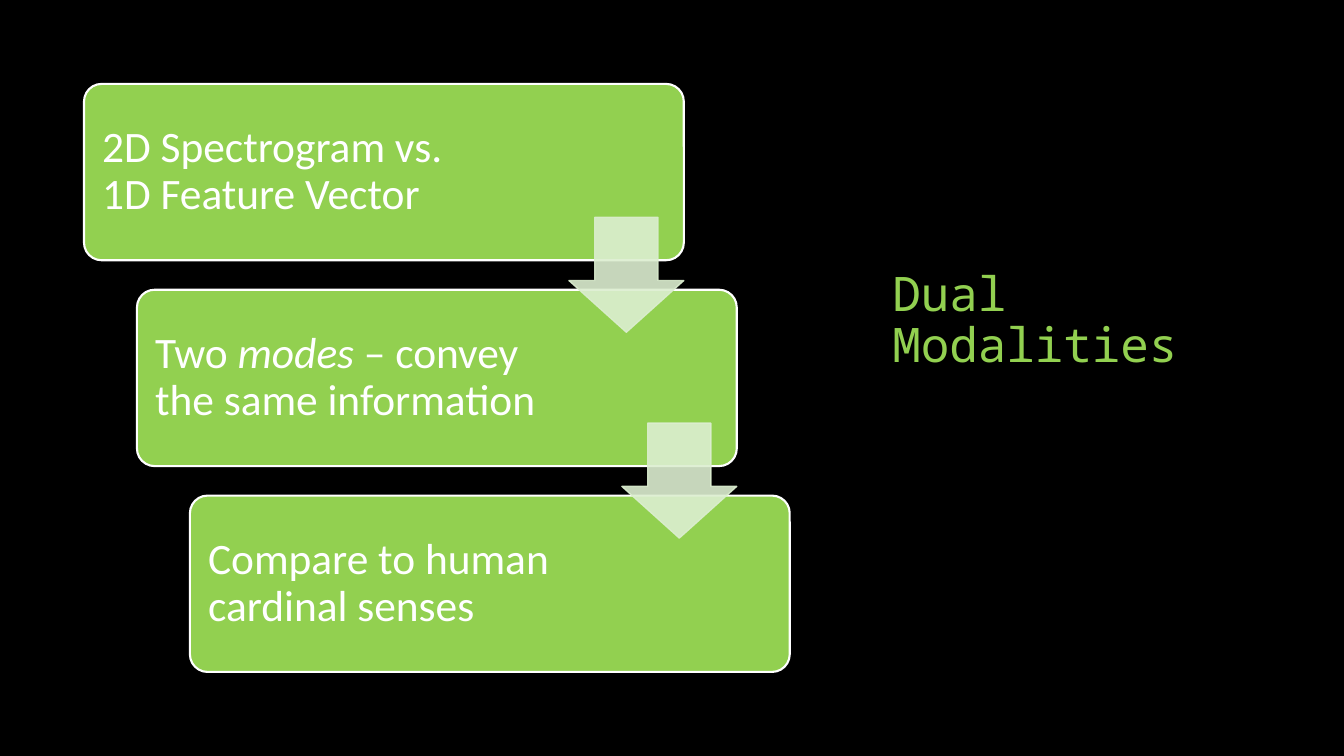
from dataclasses import dataclass

from lxml import etree
from pptx import Presentation
from pptx import util as u
from pptx.dml.color import RGBColor
from pptx.enum import shapes, text
from pptx.oxml.ns import qn

SLIDE_WIDTH, SLIDE_HEIGHT = u.Inches(13.33), u.Inches(7.5)
BLACK, GREEN, WHITE, PALE_GREEN = "000000", "92D050", "FFFFFF", "DCEED0"


@dataclass(frozen=True)
class Box:
    """Left, top, width and height in percent of the slide."""
    left: float
    top: float
    width: float
    height: float

    def emu(self) -> tuple[int, int, int, int]:
        return (round(SLIDE_WIDTH * self.left / 100),
                round(SLIDE_HEIGHT * self.top / 100),
                round(SLIDE_WIDTH * self.width / 100),
                round(SLIDE_HEIGHT * self.height / 100))

    def inside(self, stair: int) -> "Box":
        """Place this box relative to the given stair of the cascade."""
        return Box(FIRST_LEFT + stair * STEP_RIGHT + self.left,
                   FIRST_TOP + stair * STEP_DOWN + self.top,
                   self.width, self.height)


@dataclass(frozen=True)
class Step:
    runs: tuple[tuple[str, bool], ...]  # wording, italic
    text_width: float


# Cascade geometry, in percent of the slide
FIRST_LEFT, FIRST_TOP = 6.25, 11.1
STEP_RIGHT, STEP_DOWN = 3.94, 27.23
CARD = Box(0, 0, 44.63, 23.33)
ARROW = Box(36.08, 17.65, 8.55, 15.2)
TITLE = Box(65.64, 23.33, 25.58, 26.67)

STEPS = (
    Step((("2D Spectrogram vs. 1D Feature Vector", False),), 30.46),
    Step((("Two ", False), ("modes", True),
          (" – convey the same information", False)), 31.36),
    Step((("Compare to human cardinal senses", False),), 31.36),
)


def rgb(value: str) -> RGBColor:
    return RGBColor.from_string(value)


def style_paragraph(paragraph, font: str, size: float, color: str) -> None:
    paragraph.line_spacing = 0.9
    paragraph.alignment = text.PP_ALIGN.LEFT
    paragraph.font.name = font
    paragraph.font.size = u.Pt(size)
    paragraph.font.color.rgb = rgb(color)


def add_solid(parent, kind, box: Box, adjustments: tuple[float, ...],
              fill: str, line: str, line_width: float):
    solid = parent.shapes.add_shape(kind, *box.emu())
    for index, value in enumerate(adjustments):
        solid.adjustments[index] = value
    solid.shadow.inherit = False
    solid.fill.solid()
    solid.fill.fore_color.rgb = rgb(fill)
    solid.line.color.rgb = rgb(line)
    solid.line.width = u.Pt(line_width)
    return solid


def add_step(parent, stair: int, step: Step) -> None:
    add_solid(parent, shapes.MSO_SHAPE.ROUNDED_RECTANGLE, CARD.inside(stair),
              (0.1,), GREEN, WHITE, 1.5)
    wording_box = Box(0.38, 0.69, step.text_width, 22).inside(stair)
    frame = parent.shapes.add_textbox(*wording_box.emu()).text_frame
    frame.word_wrap = True
    frame.vertical_anchor = text.MSO_ANCHOR.MIDDLE
    frame.margin_left = frame.margin_right = u.Inches(0.13)
    frame.margin_top = frame.margin_bottom = u.Inches(0.13)
    paragraph = frame.paragraphs[0]
    style_paragraph(paragraph, "Calibri", 31, WHITE)
    for wording, italic in step.runs:
        run = paragraph.add_run()
        run.text = wording
        if italic:
            run.font.italic = True


def add_arrow(parent, stair: int) -> None:
    arrow = add_solid(parent, shapes.MSO_SHAPE.DOWN_ARROW, ARROW.inside(stair),
                      (0.55, 0.45), PALE_GREEN, PALE_GREEN, 1)
    # Fill and outline are both 90 % opaque
    for color in arrow.fill._xPr.iter(qn("a:srgbClr")):
        etree.SubElement(color, qn("a:alpha")).set("val", "90000")


def main() -> None:
    deck = Presentation()
    deck.slide_width, deck.slide_height = SLIDE_WIDTH, SLIDE_HEIGHT
    slide = deck.slides.add_slide(deck.slide_layouts[5])
    slide.background.fill.solid()
    slide.background.fill.fore_color.rgb = rgb(BLACK)

    # Title
    title = slide.shapes.title
    title.left, title.top, title.width, title.height = TITLE.emu()
    title.text_frame.text = "Dual Modalities"
    title.text_frame.word_wrap = True
    title.text_frame.auto_size = text.MSO_AUTO_SIZE.NONE
    title.text_frame.vertical_anchor = text.MSO_ANCHOR.BOTTOM
    style_paragraph(title.text_frame.paragraphs[0], "Noto Sans Mono", 34, GREEN)

    # Cascade: cards first, arrows on top
    cascade = slide.shapes.add_group_shape()
    for stair, step in enumerate(STEPS):
        add_step(cascade, stair, step)
    for stair in range(len(STEPS) - 1):
        add_arrow(cascade, stair)

    deck.save("out.pptx")


if __name__ == "__main__":
    main()
